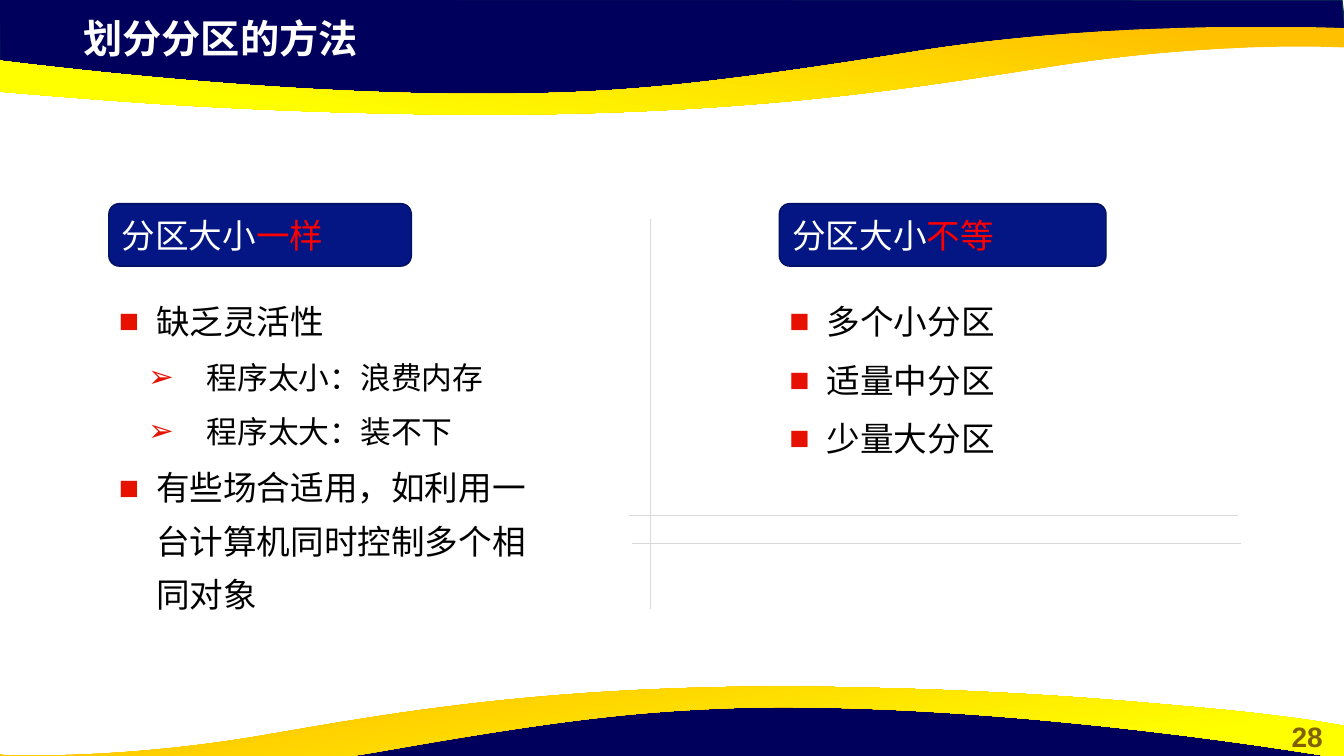
from dataclasses import dataclass

from lxml import etree
from pptx import Presentation
from pptx.dml.color import RGBColor
from pptx.enum.shapes import MSO_CONNECTOR, MSO_SHAPE
from pptx.enum.text import MSO_ANCHOR, PP_ALIGN
from pptx.oxml.ns import qn
from pptx.util import Inches, Pt

ROUNDED = MSO_SHAPE.ROUNDED_RECTANGLE
STRAIGHT = MSO_CONNECTOR.STRAIGHT
MIDDLE = MSO_ANCHOR.MIDDLE
LEFT, CENTER = PP_ALIGN.LEFT, PP_ALIGN.CENTER

NAVY = RGBColor(0x00, 0x00, 0x5C)
NAVY_EDGE = RGBColor(0x05, 0x30, 0x4F)
GOLD = RGBColor(0xFF, 0xC0, 0x00)
YELLOW = RGBColor(0xFF, 0xFF, 0x00)
HEADING_BLUE = RGBColor(0x03, 0x16, 0x84)
HEADING_EDGE = RGBColor(0x02, 0x10, 0x62)
WHITE = RGBColor(0xFF, 0xFF, 0xFF)
BLACK = RGBColor(0x00, 0x00, 0x00)
RED = RGBColor(0xFF, 0x00, 0x00)
BULLET_RED = RGBColor(0xE7, 0x11, 0x01)
NUMBER_BROWN = RGBColor(0x80, 0x60, 0x00)
RULE_GRAY = RGBColor(0xD9, 0xD9, 0xD9)

FONT = "Arial"
HEADING_TOP, HEADING_HEIGHT, LIST_TOP = 2.02, 0.62, 2.81

Point = tuple[float, float]


@dataclass
class Ribbon:
    """A gold band: a start point, then segments of one (line) or three (curve) points."""
    start: Point
    segments: list[list[Point]]
    angle: float


@dataclass
class Label:
    text: str
    left: float
    top: float
    width: float
    height: float
    size: int
    color: RGBColor
    align: PP_ALIGN = LEFT


@dataclass
class Level:
    depth: int
    bullet: str
    margin: float
    hanging: float
    size: int


@dataclass
class Column:
    left: float
    heading_width: float
    emphasis: str
    list_width: float
    list_height: float
    items: list[tuple[Level, str]]


MAIN = Level(1, "■", 0.37, 0.37, 24)
DETAIL = Level(2, "➢", 0.87, 0.58, 22)

NAVY_BANDS = [
    [(-0.01, -0.01), (0, 0.7), (2.93, 1.02), (5.59, 1), (7.95, 0.88),
     (10.16, 0.5), (12.38, 0.33), (13.35, 0.38), (13.31, 0)],
    [(13.33, 7.94), (13.32, 7.24), (10.4, 6.91), (7.73, 6.93), (5.38, 7.06),
     (3.17, 7.43), (0.95, 7.6), (-0.03, 7.56), (0.01, 7.93)],
]
RIBBONS = [
    Ribbon((4.83, 1.14), [
        [(4.43, 1.14), (4.01, 1.13), (3.56, 1.12)],
        [(2.06, 1.08), (1.1, 1), (0.36, 0.94)],
        [(-0.88, 0.84), (-1.3, 0.75), (-1.33, 0.75)],
        [(-1.33, 0.42)],
        [(-1.33, 0.42), (2.18, 0.98), (5.17, 0.93)],
        [(6.26, 0.91), (7.08, 0.83), (9.15, 0.5)],
        [(11.21, 0.18), (13.33, 0.28), (13.33, 0.28)],
        [(13.33, 0.47)], [(13.3, 0.47)],
        [(13.05, 0.46), (11.95, 0.43), (10.55, 0.64)],
        [(9.18, 0.85), (7.62, 1.13), (4.83, 1.14)],
    ], 260),
    Ribbon((7.72, 6.81), [
        [(8.09, 6.81), (8.47, 6.82), (8.88, 6.83)],
        [(10.25, 6.87), (11.12, 6.95), (11.79, 7.01)],
        [(12.92, 7.11), (13.3, 7.2), (13.33, 7.2)],
        [(13.33, 7.53)],
        [(13.33, 7.53), (10.14, 6.97), (7.42, 7.02)],
        [(6.42, 7.05), (5.67, 7.12), (3.8, 7.45)],
        [(1.92, 7.78), (-0.01, 7.68), (-0.01, 7.68)],
        [(-0.01, 7.48)], [(0.02, 7.49)],
        [(0.25, 7.5), (1.25, 7.52), (2.52, 7.31)],
        [(3.76, 7.1), (5.19, 6.82), (7.72, 6.81)],
    ], 280),
]
LABELS = [
    Label("28", 12.6, 7.09, 0.73, 0.44, 20, NUMBER_BROWN, CENTER),
    Label("划分分区的方法", 0.73, 0.09, 7.68, 0.57, 28, WHITE),
]
COLUMNS = [
    Column(1.08, 3, "一样", 4.49, 3.4, [
        (MAIN, "缺乏灵活性"),
        (DETAIL, "程序太小：浪费内存"),
        (DETAIL, "程序太大：装不下"),
        (MAIN, "有些场合适用，如利用一台计算机同时控制多个相同对象"),
    ]),
    Column(7.73, 3.24, "不等", 3.55, 1.96, [
        (MAIN, "多个小分区"), (MAIN, "适量中分区"), (MAIN, "少量大分区"),
    ]),
]
RULES = [((6.45, 2.17), (6.45, 6.04)),
         ((6.27, 5.39), (12.31, 5.39)),
         ((6.24, 5.11), (12.28, 5.11))]


def add_outline(slide, points: list[Point]):
    first, *rest = [(Inches(x), Inches(y)) for x, y in points]
    builder = slide.shapes.build_freeform(*first)
    builder.add_line_segments(rest, close=True)
    shape = builder.convert_to_shape()
    shape.shadow.inherit = False
    return shape


def bend_segments(shape, segments: list[list[Point]]) -> None:
    """Merge the three straight steps of each curved segment into one cubic curve."""
    steps = iter(list(shape._element.iter(qn("a:lnTo"))))
    for segment in segments:
        curve, *others = [next(steps) for _ in segment]
        if others:
            curve.tag = qn("a:cubicBezTo")
        for step in others:
            step.getparent().remove(step)
            curve.append(step[0])


def paint(shape, fill: RGBColor, edge: RGBColor) -> None:
    shape.fill.solid()
    shape.fill.fore_color.rgb = fill
    shape.line.color.rgb = edge
    shape.line.width = Pt(1)


def add_ribbon(slide, ribbon: Ribbon) -> None:
    shape = add_outline(slide, [ribbon.start, *sum(ribbon.segments, [])])
    bend_segments(shape, ribbon.segments)
    shape.line.fill.background()
    shape.fill.gradient()
    shape.fill.gradient_angle = ribbon.angle
    stops = ((0.11, GOLD), (0.78, YELLOW))
    for stop, (position, color) in zip(shape.fill.gradient_stops, stops):
        stop.position = position
        stop.color.rgb = color


def set_font(paragraph, size: int, color: RGBColor, bold: bool = False) -> None:
    font = paragraph.font
    font.name, font.size, font.bold = FONT, Pt(size), bold
    font.color.rgb = color


def add_text_frame(slide, left: float, top: float, width: float, height: float):
    box = slide.shapes.add_textbox(Inches(left), Inches(top), Inches(width), Inches(height))
    box.text_frame.word_wrap = True
    return box.text_frame


def add_label(slide, label: Label) -> None:
    frame = add_text_frame(slide, label.left, label.top, label.width, label.height)
    paragraph = frame.paragraphs[0]
    paragraph.text = label.text
    paragraph.alignment = label.align
    set_font(paragraph, label.size, label.color, bold=True)


def add_heading(slide, column: Column) -> None:
    shape = slide.shapes.add_shape(ROUNDED, Inches(column.left), Inches(HEADING_TOP),
                                   Inches(column.heading_width), Inches(HEADING_HEIGHT))
    shape.shadow.inherit = False
    paint(shape, HEADING_BLUE, HEADING_EDGE)
    shape.text_frame.vertical_anchor = MIDDLE
    paragraph = shape.text_frame.paragraphs[0]
    paragraph.alignment = LEFT
    set_font(paragraph, 24, WHITE)
    for text, color in (("分区大小", WHITE), (column.emphasis, RED)):
        run = paragraph.add_run()
        run.text = text
        run.font.color.rgb = color


def add_bullet(paragraph, level: Level) -> None:
    properties = paragraph._p.get_or_add_pPr()
    properties.set("marL", str(Inches(level.margin)))
    properties.set("indent", str(-Inches(level.hanging)))
    color = etree.SubElement(properties, qn("a:buClr"))
    etree.SubElement(color, qn("a:srgbClr")).set("val", str(BULLET_RED))
    etree.SubElement(properties, qn("a:buFont")).set("typeface", FONT)
    etree.SubElement(properties, qn("a:buChar")).set("char", level.bullet)


def add_list(slide, column: Column) -> None:
    frame = add_text_frame(slide, column.left, LIST_TOP, column.list_width, column.list_height)
    for index, (level, text) in enumerate(column.items):
        paragraph = frame.add_paragraph() if index else frame.paragraphs[0]
        paragraph.text = text
        paragraph.level = level.depth
        paragraph.line_spacing = 1.32
        if index:
            paragraph.space_before = Pt(3.7)
        add_bullet(paragraph, level)
        set_font(paragraph, level.size, BLACK)


def add_rule(slide, start: Point, end: Point) -> None:
    rule = slide.shapes.add_connector(STRAIGHT, *map(Inches, start + end))
    rule.line.color.rgb = RULE_GRAY
    rule.line.width = Pt(0.5)
    etree.SubElement(rule._element.spPr, qn("a:effectLst"))


def main() -> None:
    presentation = Presentation()
    presentation.slide_width, presentation.slide_height = Inches(13.33), Inches(7.5)
    slide = presentation.slides.add_slide(presentation.slide_layouts[6])
    for band, ribbon in zip(NAVY_BANDS, RIBBONS):
        paint(add_outline(slide, band), NAVY, NAVY_EDGE)
        add_ribbon(slide, ribbon)
    for label in LABELS:
        add_label(slide, label)
    for column in COLUMNS:
        add_heading(slide, column)
        add_list(slide, column)
    for start, end in RULES:
        add_rule(slide, start, end)
    presentation.save("out.pptx")


if __name__ == "__main__":
    main()
